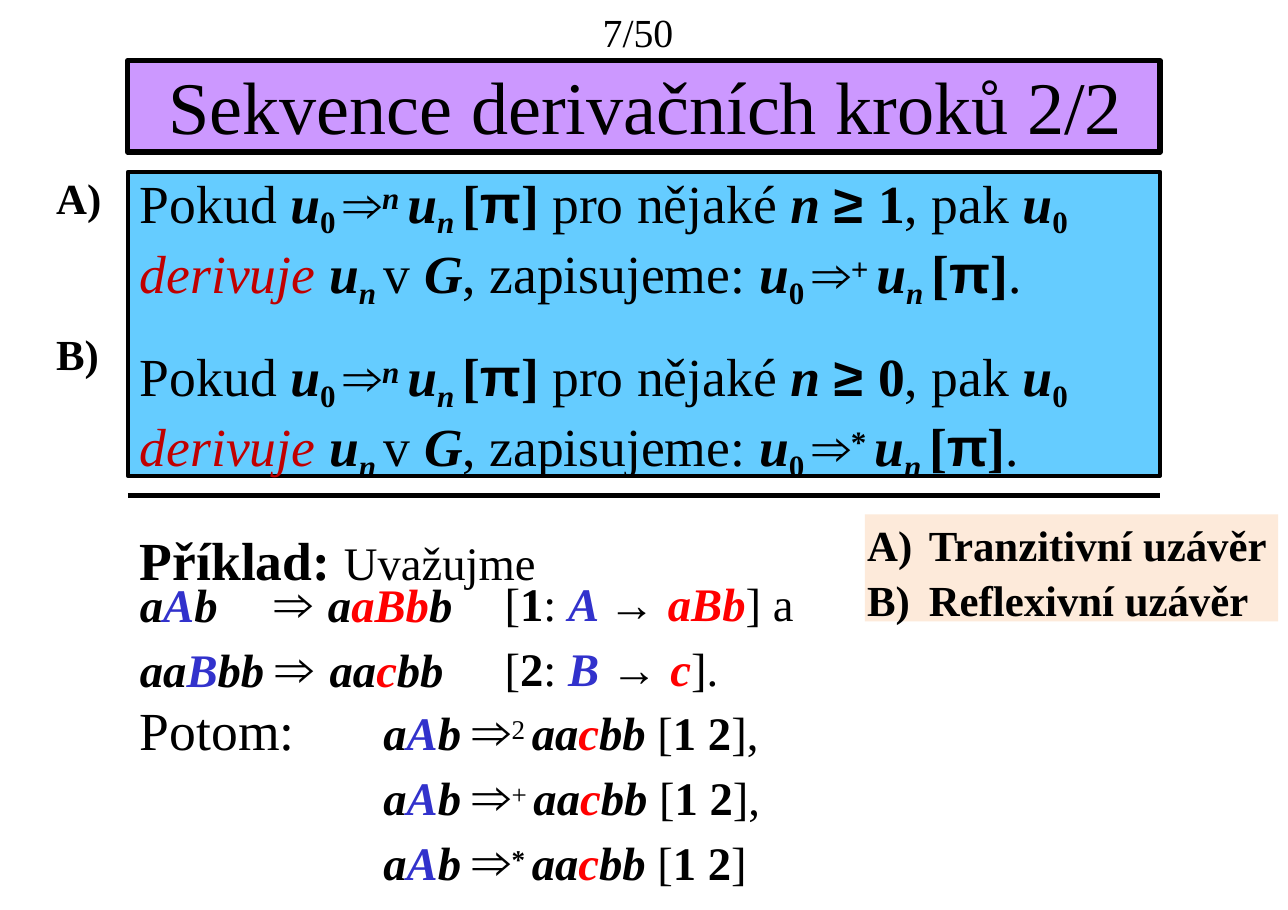
from typing import NamedTuple, Optional

from lxml.etree import SubElement
from pptx import Presentation
from pptx.dml.color import RGBColor
from pptx.enum.shapes import MSO_CONNECTOR as Connector, MSO_SHAPE as Shape
from pptx.enum.text import MSO_ANCHOR as Anchor, MSO_AUTO_SIZE as AutoSize, PP_ALIGN as Align
from pptx.oxml.ns import qn
from pptx.util import Pt

PX = 9144
BLACK = RGBColor(0x00, 0x00, 0x00)
BLUE = RGBColor(0x32, 0x32, 0xCC)
RED = RGBColor(0xFF, 0x00, 0x00)
DARK_RED = RGBColor(0xC0, 0x00, 0x00)
VIOLET = RGBColor(0xCC, 0x98, 0xFF)
SKY = RGBColor(0x65, 0xCC, 0xFF)
PEACH = RGBColor(0xFD, 0xEA, 0xDA)


class Style(NamedTuple):
    bold: bool = False
    italic: bool = False
    color: RGBColor = BLACK
    baseline: int = 0
    font: str = "Times New Roman"
    size: Optional[float] = None


PLAIN = Style()
BOLD = Style(bold=True)
TERM = Style(bold=True, italic=True)
OLD = TERM._replace(color=BLUE)
NEW = TERM._replace(color=RED)
KEYWORD = Style(italic=True, color=DARK_RED)
SUB = BOLD._replace(baseline=-20)
SUB_TERM = TERM._replace(baseline=-20)
SUPER = PLAIN._replace(baseline=25)
SUPER_BOLD = BOLD._replace(baseline=25)
SUPER_TERM = TERM._replace(baseline=25)
SYMBOL = BOLD._replace(font="Arial")
RULE_ARROW = PLAIN._replace(font="Arial")
ARROW = RULE_ARROW._replace(size=35)
SMALL = PLAIN._replace(size=30.5)

U_0 = [("u", TERM), ("0 ", SUB)]
U_N = [("u", TERM), ("n ", SUB_TERM)]
PI = [("[", BOLD), ("π", SYMBOL)]
A_WORD = [("a", TERM), ("A", OLD)]
RESULT = [("aa", TERM), ("c", NEW)]


def definition(bound, closure):
    return [("Pokud ", PLAIN), *U_0, ("⇒", SYMBOL), ("n ", SUPER_TERM), *U_N, *PI,
            ("] ", BOLD), ("pro nějaké ", PLAIN), ("n ", TERM), ("≥ ", SYMBOL),
            (bound, BOLD), (", pak ", PLAIN), *U_0, ("derivuje ", KEYWORD), *U_N,
            ("v ", PLAIN), ("G", TERM), (", zapisujeme: ", PLAIN), *U_0,
            ("⇒", SYMBOL), (closure + " ", SUPER_BOLD), *U_N, *PI,
            ("]", BOLD), (".", PLAIN)]


def rule(number, left, right, ending):
    return [("[", PLAIN), (number, BOLD), (": ", PLAIN), (left + " ", OLD),
            ("→ ", RULE_ARROW), (right, NEW), (ending, PLAIN)]


def derivation(power, style, ending):
    return [*A_WORD, ("b ", TERM), ("⇒", ARROW), (power + " ", style), *RESULT,
            ("bb ", TERM), ("[", PLAIN), ("1 2", BOLD), (ending, PLAIN)]


TITLE = [("Sekvence derivačních kroků 2/2", PLAIN)]
FIRST_STEP = [*A_WORD, ("b\t", TERM), ("⇒ ", ARROW),
              ("a", TERM), ("aBb", NEW), ("b", TERM)]
SECOND_STEP = [("aa", TERM), ("B", OLD), ("bb ", TERM), ("⇒ ", ARROW),
               *RESULT, ("bb", TERM)]
EXAMPLE = [("Příklad: ", BOLD), ("Uvažujme", SMALL)]
CLOSURES = [[("Tranzitivní uzávěr", BOLD)], [("Reflexivní uzávěr", BOLD)]]

# (left, top, width, height), size, paragraphs, spaces before
TEXTS = [
    ((127, 150, 899, 367), 35,
     [definition("1", "+"), definition("0", "*"), EXAMPLE], [0, 21.1, 27.9]),
    ((127, 512, 296, 62), 30.5, [FIRST_STEP], [0]),
    ((458, 518, 268, 54), 30.5, [rule("1", "A", "aBb", "] a")], [0]),
    ((127, 571, 291, 62), 30.5, [SECOND_STEP], [0]),
    ((458, 577, 196, 54), 30.5, [rule("2", "B", "c", "].")], [0]),
    ((127, 629, 144, 62), 35, [[("Potom:", PLAIN)]], [0]),
    ((348, 629, 368, 62), 30.5, [derivation("2", SUPER, "],")], [0]),
    ((348, 688, 370, 120), 30.5,
     [derivation("+", SUPER, "],"), derivation("*", SUPER_BOLD, "]")], [0, 0.3]),
    ((547, 3, 67, 47), 26, [[("7/50", PLAIN)]], [0]),
    ((51, 152, 65, 199), 28, [[("A)", BOLD)], [("B)", BOLD)]], [0, 68]),
]


def emu(*lengths):
    return [length * PX for length in lengths]


def write(shape, size, paragraphs, spaces, top=4):
    frame = shape.text_frame
    frame.word_wrap = True
    frame.auto_size = AutoSize.NONE
    frame.vertical_anchor = Anchor.TOP
    frame.margin_left = frame.margin_right = frame.margin_bottom = 0
    frame.margin_top = top * PX
    for index, (runs, space) in enumerate(zip(paragraphs, spaces)):
        paragraph = frame.paragraphs[0] if index == 0 else frame.add_paragraph()
        paragraph.alignment = Align.LEFT
        paragraph.space_before = Pt(space)
        for text, style in runs:
            run = paragraph.add_run()
            run.text = text
            font = run.font
            font.name = style.font
            font.size = Pt(style.size or size)
            font.bold = style.bold
            font.italic = style.italic
            font.color.rgb = style.color
            if style.baseline:
                run._r.get_or_add_rPr().set("baseline", str(style.baseline * 1000))
    return frame.paragraphs


def add_panel(slide, box, fill, border=None):
    shape = slide.shapes.add_shape(Shape.RECTANGLE, *emu(*box))
    shape.shadow.inherit = False
    shape.fill.solid()
    shape.fill.fore_color.rgb = fill
    if border:
        shape.line.color.rgb = BLACK
        shape.line.width = Pt(border)
    else:
        shape.line.fill.background()
    return shape


def add_divider(slide, left, right, y):
    line = slide.shapes.add_connector(Connector.STRAIGHT, *emu(left, y, right, y))
    line.line.color.rgb = BLACK
    line.line.width = Pt(3.5)
    SubElement(line._element.spPr, qn("a:effectLst"))


def main():
    presentation = Presentation()
    presentation.slide_width, presentation.slide_height = emu(1169, 826)
    slide = presentation.slides.add_slide(presentation.slide_layouts[5])

    add_panel(slide, (116, 156, 937, 276), SKY, 2.5)
    add_divider(slide, 116, 1053, 450)
    add_panel(slide, (116, 55, 937, 83), VIOLET, 3.5)

    title = slide.shapes.title
    title.left, title.top, title.width, title.height = emu(153, 53, 896, 82)
    write(title, 48.5, [TITLE], [0], top=2)
    tree = slide.shapes._spTree
    tree.remove(title._element)
    tree.append(title._element)

    for box, size, paragraphs, spaces in TEXTS:
        shape = slide.shapes.add_textbox(*emu(*box))
        written = write(shape, size, paragraphs, spaces)
        if paragraphs == [FIRST_STEP]:
            tabs = SubElement(written[0]._p.get_or_add_pPr(), qn("a:tabLst"))
            SubElement(tabs, qn("a:tab"), pos=str(122 * PX), algn="l")

    closures = add_panel(slide, (785, 467, 375, 97), PEACH)
    for paragraph in write(closures, 28, CLOSURES, [0, 2]):
        properties = paragraph._p.get_or_add_pPr()
        properties.set("marL", str(58 * PX))
        properties.set("indent", str(-56 * PX))
        SubElement(properties, qn("a:buAutoNum"), type="alphaUcParenR")

    presentation.save("out.pptx")


if __name__ == "__main__":
    main()
